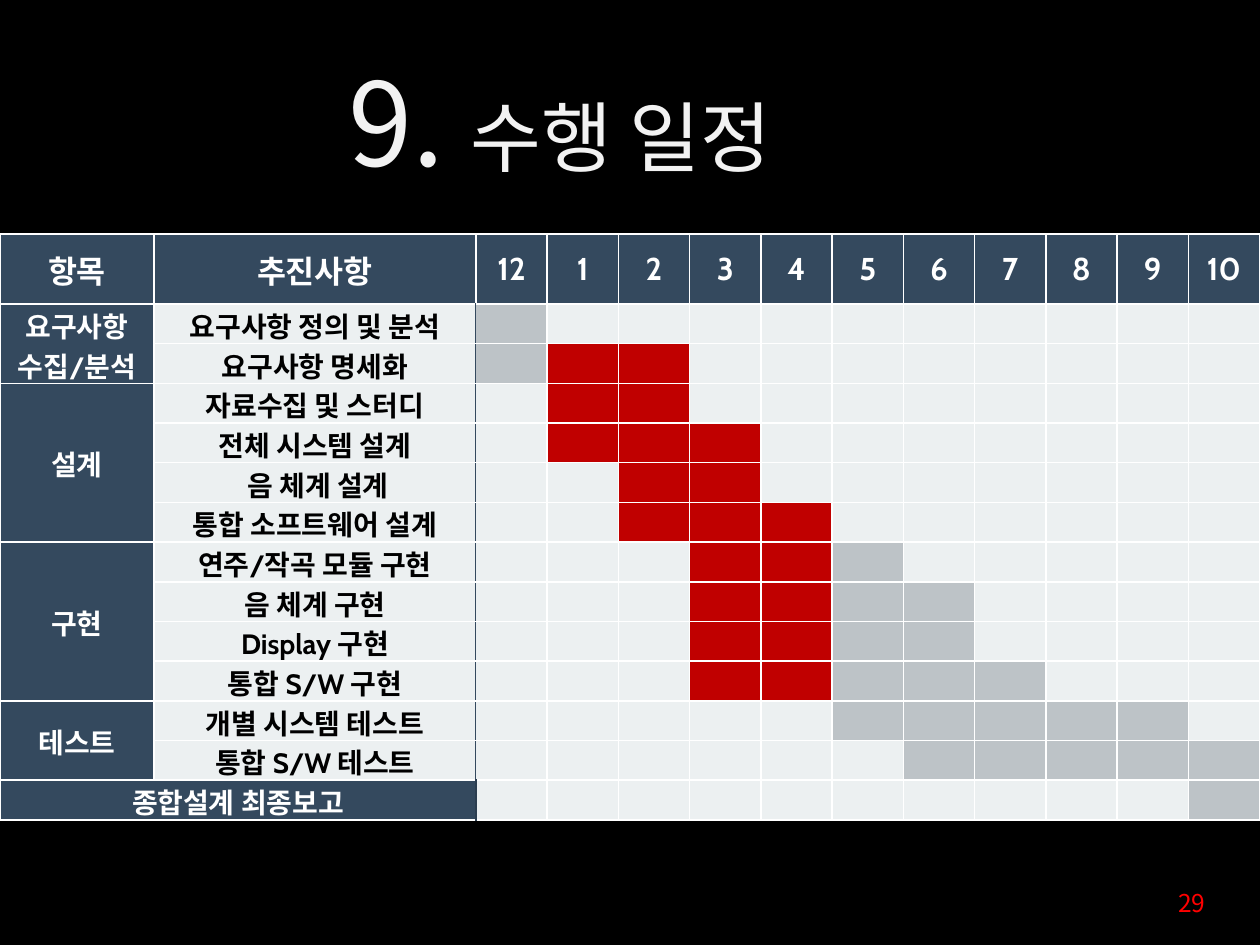
"""Build the project schedule slide with its month-by-month table."""
from lxml import etree
from pptx import Presentation
from pptx.dml.color import RGBColor
from pptx.enum.text import MSO_ANCHOR, MSO_AUTO_SIZE, PP_ALIGN
from pptx.oxml.ns import qn
from pptx.util import Pt

CENTER, RIGHT = PP_ALIGN.CENTER, PP_ALIGN.RIGHT
MIDDLE = MSO_ANCHOR.MIDDLE
GROW = MSO_AUTO_SIZE.SHAPE_TO_FIT_TEXT

EMU_PER_PX = 914400 // 126
BLACK = RGBColor(0x00, 0x00, 0x00)
WHITE = RGBColor(0xFF, 0xFF, 0xFF)
OFF_WHITE = RGBColor(0xF2, 0xF2, 0xF2)
NAVY = RGBColor(0x34, 0x49, 0x5E)
DARK_NAVY = RGBColor(0x2C, 0x3E, 0x50)
PALE = RGBColor(0xEC, 0xF0, 0xF1)
GRAY = RGBColor(0xBD, 0xC3, 0xC7)
DEEP_RED = RGBColor(0xC0, 0x00, 0x00)
RED = RGBColor(0xFF, 0x00, 0x00)

KOREAN_FONT = "Noto Sans CJK KR"
LATIN_FONT = "Cabin"
HEADERS = ["항목", "추진사항", "12", *map(str, range(1, 11))]
MONTH_FILLS = {".": PALE, "g": GRAY, "R": DEEP_RED}
SCHEDULE = [
    ("요구사항\n수집/분석", [
        ("요구사항 정의 및 분석", "g.........."),
        ("요구사항 명세화", "gRR........"),
    ]),
    ("설계", [
        ("자료수집 및 스터디", ".RR........"),
        ("전체 시스템 설계", ".RRR......."),
        (" 음 체계 설계", "..RR......."),
        ("통합 소프트웨어 설계", "..RRR......"),
    ]),
    ("구현", [
        ("연주/작곡 모듈 구현", "...RRg....."),
        ("음 체계 구현", "...RRgg...."),
        ("Display 구현", "...RRgg...."),
        ("통합 S/W 구현", "...RRggg..."),
    ]),
    ("테스트", [
        ("개별 시스템 테스트", ".....ggggg."),
        ("통합 S/W 테스트", "......ggggg"),
    ]),
]
FINAL_REPORT = ("종합설계 최종보고", "..........g")


def px(value):
    """Turn pixels into EMU."""
    return value * EMU_PER_PX


def add_span(para, text, size, color, latin=KOREAN_FONT, bold=False):
    """Add formatted text to a paragraph."""
    span = para.add_run()
    span.text = text
    span.font.size = Pt(size)
    span.font.bold = bold
    span.font.color.rgb = color
    span.font.name = latin
    east_asian = etree.SubElement(span.font._element, qn("a:ea"))
    east_asian.set("typeface", KOREAN_FONT)


def add_text(page, bounds, spans, align=None, wrap=True):
    """Add a one-paragraph text box from (text, size, color) spans."""
    box = page.shapes.add_textbox(*map(px, bounds))
    frame = box.text_frame
    frame.word_wrap = wrap
    if not wrap:
        frame.auto_size = GROW
    para = frame.paragraphs[0]
    para.alignment = align
    for text, size, color in spans:
        add_span(para, text, size, color)


def set_borders(cell, **sides):
    """Draw white cell borders, with (color, width) overrides for L, R, T, B."""
    properties = cell._tc.get_or_add_tcPr()
    for side in "LRTB":
        color, width = sides.get(side, (WHITE, 1))
        line = etree.SubElement(properties, qn(f"a:ln{side}"), w=str(Pt(width)))
        fill = etree.SubElement(line, qn("a:solidFill"))
        etree.SubElement(fill, qn("a:srgbClr"), val=str(color))


def format_cell(cell, fill, text="", size=16, color=WHITE, **sides):
    """Set a cell's borders, fill and centred text."""
    set_borders(cell, **sides)
    cell.fill.solid()
    cell.fill.fore_color.rgb = fill
    cell.vertical_anchor = MIDDLE
    cell.margin_left = cell.margin_right = cell.margin_top = px(1)
    cell.margin_bottom = 0
    frame = cell.text_frame
    for index, content in enumerate(text.split("\n")):
        para = frame.add_paragraph() if index else frame.paragraphs[0]
        para.alignment = CENTER
        if content:
            add_span(para, content, size, color, LATIN_FONT, True)
        else:
            para._p.get_or_add_endParaRPr().set("sz", "800")


def fill_months(table, row, months, edge, **sides):
    """Colour the month cells of one row."""
    for column, state in enumerate(months, start=2):
        extra = {"L": edge} if column == 2 else {}
        format_cell(table.cell(row, column), MONTH_FILLS[state], **extra, **sides)


def add_schedule(page):
    """Add the schedule table."""
    task_count = sum(len(tasks) for _, tasks in SCHEDULE)
    last = task_count + 1
    frame = page.shapes.add_table(last + 1, len(HEADERS), 0, px(234), px(1260), px(586))
    table = frame.table
    table.first_row = table.horz_banding = False
    widths = [px(154), px(322)] + [px(784) // 11] * 11
    heights = [px(70)] + [px(516) // last] * last
    for column, width in zip(table.columns, widths):
        column.width = width
    for row, height in zip(table.rows, heights):
        row.height = height

    thick, divider, final_edge = (WHITE, 1.5), (NAVY, 0.75), (DARK_NAVY, 1.5)
    for column, text in enumerate(HEADERS):
        format_cell(table.cell(0, column), NAVY, text, size=18, B=thick)

    row = 1
    for group, tasks in SCHEDULE:
        group_cell = table.cell(row, 0)
        group_cell.merge(table.cell(row + len(tasks) - 1, 0))
        format_cell(group_cell, NAVY, group, **({"T": thick} if row == 1 else {}))
        for task, months in tasks:
            top = {"T": thick} if row == 1 else {}
            format_cell(table.cell(row, 1), PALE, task, color=BLACK, R=divider, **top)
            fill_months(table, row, months, divider, **top)
            row += 1

    report, months = FINAL_REPORT
    report_cell = table.cell(last, 0)
    report_cell.merge(table.cell(last, 1))
    format_cell(report_cell, NAVY, report, R=final_edge)
    fill_months(table, last, months, final_edge)


def main():
    """Build and save the deck."""
    deck = Presentation()
    deck.slide_width, deck.slide_height = px(1260), px(945)
    page = deck.slides.add_slide(deck.slide_layouts[6])
    page.background.fill.solid()
    page.background.fill.fore_color.rgb = BLACK
    title = [("9. ", 66, OFF_WHITE), ("수행 일정", 44, OFF_WHITE)]
    add_text(page, (336, 45, 522, 152), title, wrap=False)
    add_schedule(page)
    add_text(page, (924, 882, 294, 66), [("29", 14, RED)], align=RIGHT)
    deck.save("out.pptx")


if __name__ == "__main__":
    main()
